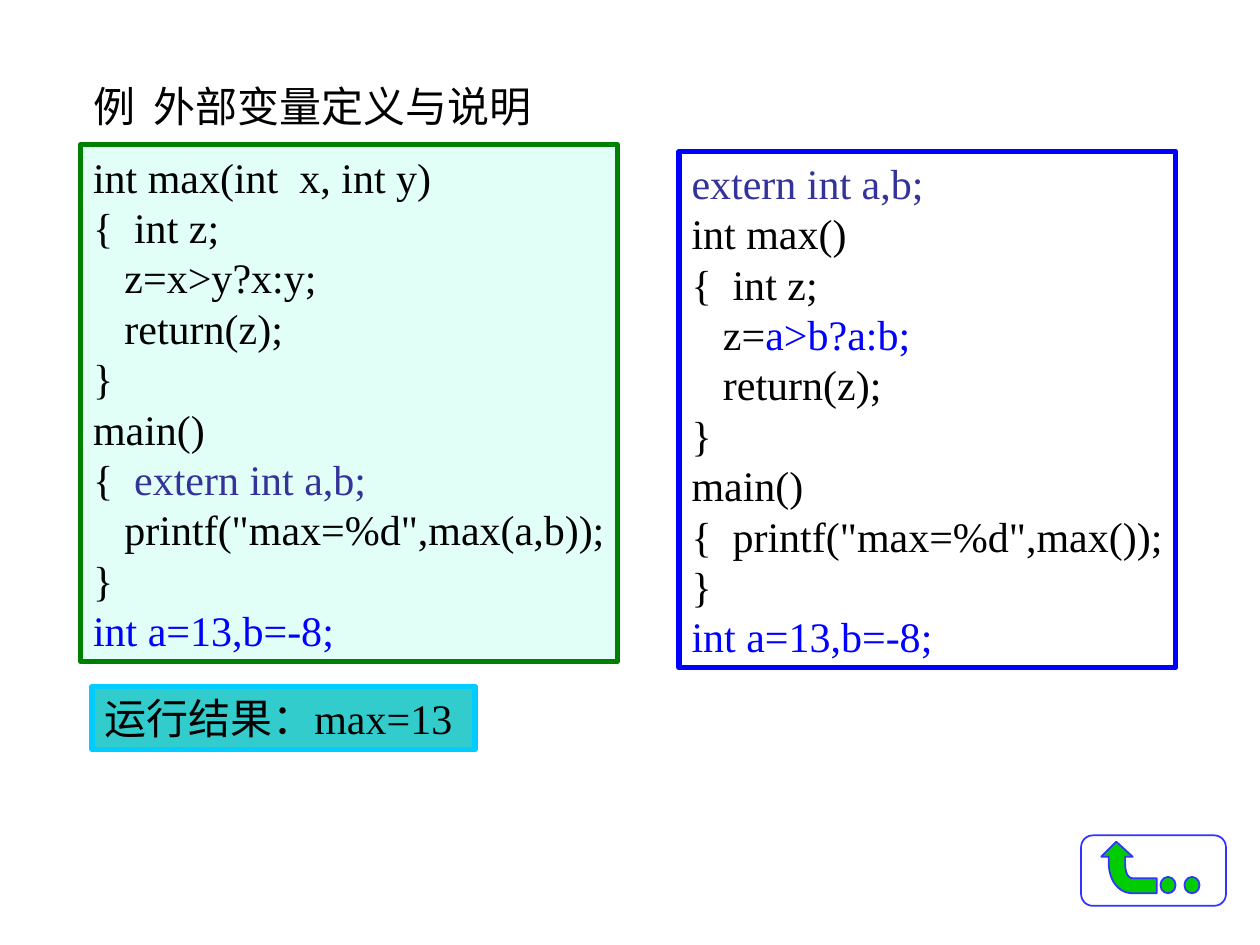
from lxml.etree import SubElement
from pptx import Presentation
from pptx.dml.color import RGBColor
from pptx.enum.shapes import MSO_SHAPE as Shape
from pptx.enum.text import MSO_ANCHOR as Anchor, MSO_AUTO_SIZE as Auto, PP_ALIGN as Align
from pptx.oxml.ns import qn
from pptx.util import Inches, Pt

BLACK = RGBColor(0, 0, 0)
WHITE = RGBColor(0xFF, 0xFF, 0xFF)
BLUE = RGBColor(0, 0, 0xFF)
INDIGO = RGBColor(0x33, 0x33, 0x99)
MINT = RGBColor(0xE1, 0xFF, 0xF7)
GREEN = RGBColor(0, 0x80, 0)
TEAL = RGBColor(0x33, 0xCC, 0xCC)
SKY = RGBColor(0, 0xCC, 0xFF)
LIME = RGBColor(0, 0xCC, 0)
VIOLET = RGBColor(0x33, 0x33, 0xFF)

LOCAL = [
    [("int max(int  x, int y)", BLACK)],
    [("{  int z;", BLACK)],
    [("   z=x>y?x:y;", BLACK)],
    [("   return(z);", BLACK)],
    [("}", BLACK)],
    [("main()", BLACK)],
    [("{  ", BLACK), ("extern int a,b;", INDIGO)],
    [('   printf("max=%d",max(a,b));', BLACK)],
    [("}", BLACK)],
    [("int a=13,b=-8;", BLUE)],
]
GLOBAL = [
    [("extern int a,b;", INDIGO)],
    [("int max()", BLACK)],
    [("{  int z;", BLACK)],
    [("   z=", BLACK), ("a>b?a:b;", BLUE)],
    [("   return(z);", BLACK)],
    [("}", BLACK)],
    [("main()", BLACK)],
    [('{  printf("max=%d",max());', BLACK)],
    [("}", BLACK)],
    [("int a=13,b=-8;", BLUE)],
]


def place(shape, left, top, width, height):
    shape.left, shape.top = Inches(left), Inches(top)
    shape.width, shape.height = Inches(width), Inches(height)


def paint(shape, fill, line, width):
    shape.shadow.inherit = False
    if fill is None:
        shape.fill.background()
    else:
        shape.fill.solid()
        shape.fill.fore_color.rgb = fill
    shape.line.color.rgb = line
    shape.line.width = Pt(width)


def write(shape, lines, tab=None):
    """Fill a shape with lines, each a list of (text, colour) runs."""
    frame = shape.text_frame
    frame.word_wrap = False
    frame.auto_size = Auto.SHAPE_TO_FIT_TEXT
    frame.vertical_anchor = Anchor.TOP
    for i, runs in enumerate(lines):
        para = frame.add_paragraph() if i else frame.paragraphs[0]
        para.alignment = Align.LEFT
        para.line_spacing = Pt(28.8)
        para.space_before = Pt(0)
        if tab:
            stops = SubElement(para._p.get_or_add_pPr(), qn("a:tabLst"))
            SubElement(stops, qn("a:tab"), pos=str(Inches(tab)), algn="l")
        para.font.name = "Times New Roman"
        para.font.size = Pt(24)
        for text, color in runs:
            run = para.add_run()
            run.text = text
            run.font.color.rgb = color


def add_panel(slide, box, fill, line, lines):
    panel = slide.shapes.add_shape(Shape.RECTANGLE, *map(Inches, box))
    paint(panel, fill, line, 3)
    write(panel, lines)


def curve(a, b, c, d, steps=12):
    """Points along a cubic Bezier from a to d, without a itself."""
    for i in range(1, steps + 1):
        t = i / steps
        u = 1 - t
        yield tuple(u**3 * p + 3 * u * u * t * q + 3 * u * t * t * r + t**3 * s
                    for p, q, r, s in zip(a, b, c, d))


def add_arrow(slide):
    points = [
        (8.99, 7.09),
        *curve((8.99, 7.09), (8.88, 7.09), (8.8, 6.99), (8.8, 6.85)),
        (8.8, 6.8), (8.74, 6.8), (8.86, 6.68), (8.99, 6.8), (8.93, 6.8), (8.93, 6.85),
        *curve((8.93, 6.85), (8.93, 6.92), (8.95, 6.97), (8.99, 6.97)),
        (9.18, 6.97),
    ]
    pen = slide.shapes.build_freeform(Inches(9.18), Inches(7.09))
    pen.add_line_segments([(Inches(x), Inches(y)) for x, y in points], close=True)
    paint(pen.convert_to_shape(), LIME, VIOLET, 1)


def add_button(slide):
    frame = slide.shapes.add_shape(Shape.ROUNDED_RECTANGLE, 0, 0, 0, 0)
    place(frame, 8.58, 6.63, 1.15, 0.56)
    paint(frame, None, VIOLET, 1)
    add_arrow(slide)
    for left in (9.21, 9.4):
        dot = slide.shapes.add_shape(Shape.OVAL, 0, 0, 0, 0)
        place(dot, left, 6.96, 0.12, 0.13)
        paint(dot, LIME, VIOLET, 1)


def main():
    deck = Presentation()
    deck.slide_width, deck.slide_height = Inches(10), Inches(7.5)
    slide = deck.slides.add_slide(deck.slide_layouts[5])
    title = slide.shapes.title
    place(title, 0.64, 0.59, 4, 0.5)
    write(title, [[("例\t外部变量定义与说明", BLACK)]], tab=0.48)
    add_panel(slide, (0.64, 1.15, 4.26, 4.1), MINT, GREEN, LOCAL)
    add_panel(slide, (0.73, 5.45, 3.04, 0.5), TEAL, SKY, [[("运行结果：max=13", BLACK)]])
    add_button(slide)
    add_panel(slide, (5.39, 1.2, 3.94, 4.1), WHITE, BLUE, GLOBAL)
    deck.save("out.pptx")


if __name__ == "__main__":
    main()
